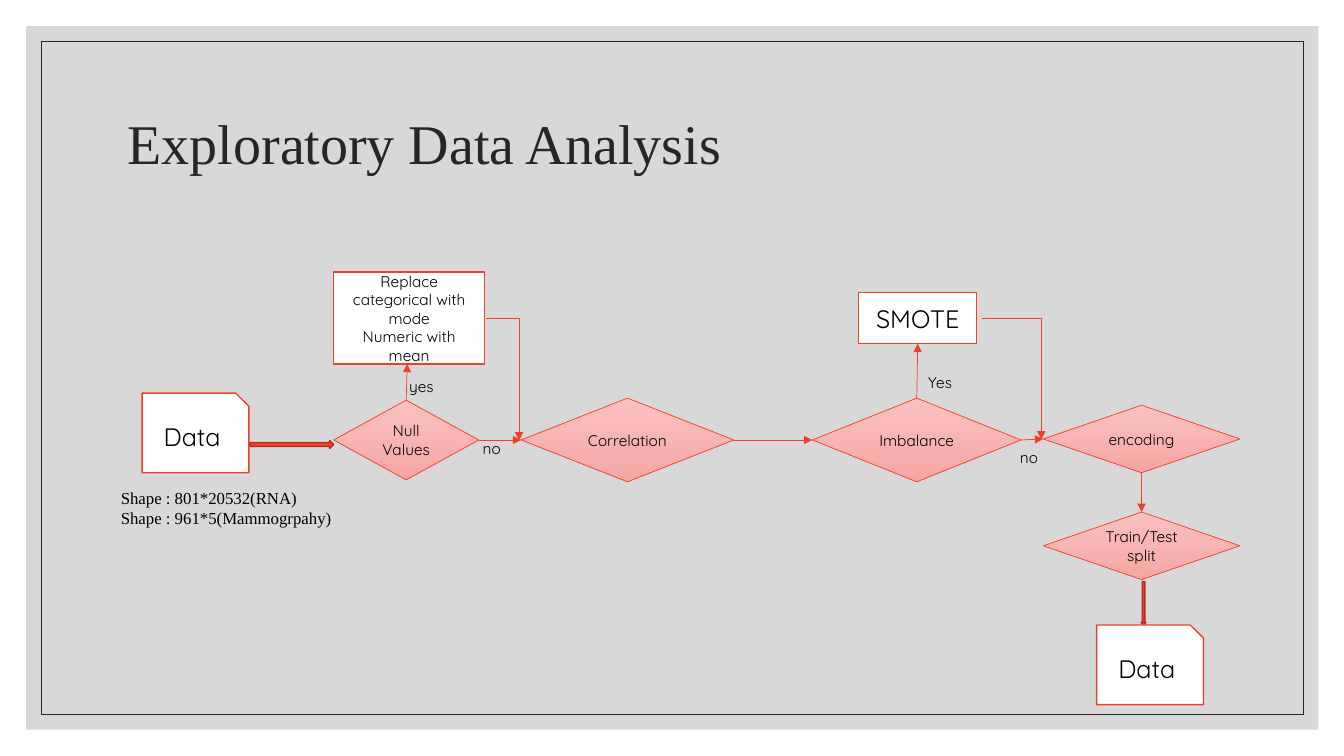
import dataclasses

import pptx
import pptx.dml.color
import pptx.enum.shapes
import pptx.enum.text
import pptx.oxml
import pptx.oxml.ns
import pptx.util

KIND = pptx.enum.shapes.MSO_SHAPE
LINK = pptx.enum.shapes.MSO_CONNECTOR
ALIGN = pptx.enum.text.PP_ALIGN
ANCHOR = pptx.enum.text.MSO_ANCHOR
TOP, LEFT, BOTTOM, RIGHT = range(4)


@dataclasses.dataclass(frozen=True)
class Theme:
    """Colours, fonts, type sizes and line widths."""
    ink: str = "000000"
    dark: str = "262626"
    panel: str = "BFBFBF"
    paper: str = "FFFFFF"
    red: str = "F03F2B"
    edge: str = "B22F20"
    light: str = "FAC1BF"
    rose: str = "F5A7A4"
    serif: str = "Times New Roman"
    sans: str = "Quicksand"
    head: int = 40
    big: int = 18
    note: int = 12
    small: int = 11
    thin: float = 0.5
    thick: float = 1


THEME = Theme()


def cells(*counts):
    """Turn counts of tenth-inch grid cells into lengths."""
    return [pptx.util.Inches(count / 10) for count in counts]


def color(code):
    """Return the colour for a hex code."""
    return pptx.dml.color.RGBColor.from_string(code)


def child(parent, tag, **attrs):
    """Append a drawing element with attributes."""
    node = pptx.oxml.parse_xml(f"<a:{tag} {pptx.oxml.ns.nsdecls('a')}/>")
    for name, value in attrs.items():
        node.set(name, value)
    parent.append(node)


def write(frame, text, size, font, ink=THEME.ink, align=ALIGN.LEFT, anchor=ANCHOR.TOP):
    """Write lines of text in one style."""
    frame.word_wrap = True
    frame.vertical_anchor = anchor
    frame.text = text
    for para in frame.paragraphs:
        para.alignment = align
        para.font.size = pptx.util.Pt(size)
        para.font.name = font
        para.font.color.rgb = color(ink)


def shape(slide, kind, at, fill=None, line=None, width=THEME.thick):
    """Add a flat preset shape."""
    item = slide.shapes.add_shape(kind, *cells(*at))
    item.shadow.inherit = False
    if fill:
        item.fill.solid()
        item.fill.fore_color.rgb = color(fill)
    else:
        item.fill.background()
    if line:
        item.line.color.rgb = color(line)
        item.line.width = pptx.util.Pt(width)
    else:
        item.line.fill.background()
    return item


def box(slide, kind, at, text, size=THEME.big):
    """Add a white box with centred text."""
    item = shape(slide, kind, at, THEME.paper, THEME.red)
    write(item.text_frame, text, size, THEME.sans, align=ALIGN.CENTER, anchor=ANCHOR.MIDDLE)
    return item


def step(slide, at, text):
    """Add a shaded diamond with centred text."""
    item = shape(slide, KIND.DIAMOND, at, line=THEME.red, width=THEME.thin)
    item.fill.gradient()
    item.fill.gradient_angle = 270
    for stop, code in zip(item.fill.gradient_stops, (THEME.light, THEME.rose)):
        stop.color.rgb = color(code)
    write(item.text_frame, text, THEME.small, THEME.sans, align=ALIGN.CENTER, anchor=ANCHOR.MIDDLE)
    return item


def label(slide, at, text, size=THEME.small, font=THEME.sans):
    """Add a text box that grows with its text."""
    frame = slide.shapes.add_textbox(*cells(*at)).text_frame
    write(frame, text, size, font)
    frame.auto_size = pptx.enum.text.MSO_AUTO_SIZE.SHAPE_TO_FIT_TEXT


def arrow(slide, start=(0, 0), end=(0, 0), tail=None, tip=None, kind=LINK.STRAIGHT):
    """Add a thin arrow between points or joined sides."""
    item = slide.shapes.add_connector(kind, *cells(*start, *end))
    if tail:
        item.begin_connect(*tail)
    if tip:
        item.end_connect(*tip)
    item.line.color.rgb = color(THEME.red)
    item.line.width = pptx.util.Pt(THEME.thin)
    child(item.line._get_or_add_ln(), "tailEnd", type="triangle")
    props = item._element.spPr
    child(props, "effectLst")
    if kind == LINK.ELBOW:
        props.find(pptx.oxml.ns.qn("a:prstGeom")).set("prst", "bentConnector2")


def frame(slide):
    """Add the grey panel, its border and the title."""
    panel = shape(slide, KIND.RECTANGLE, (2.6, 2.6, 128.2, 69.8), THEME.panel)
    tint = panel._element.spPr.find(".//" + pptx.oxml.ns.qn("a:srgbClr"))
    child(tint, "alpha", val="60000")
    shape(slide, KIND.RECTANGLE, (4.1, 4.1, 125.2, 66.8), line=THEME.dark, width=THEME.thin)
    title = slide.shapes.add_textbox(*cells(11.7, 7, 110, 15)).text_frame
    write(title, "Exploratory Data Analysis", THEME.head, THEME.serif, THEME.dark, anchor=ANCHOR.MIDDLE)
    title.paragraphs[0].line_spacing = 0.9


def flow(slide):
    """Add the boxes, diamonds and arrows of the flow."""
    shape(slide, KIND.RIGHT_ARROW, (24.8, 43.7, 8.3, 0.8), THEME.red, THEME.edge)
    down = shape(slide, KIND.RIGHT_ARROW, (111.3, 59.6, 4.3, 0.5), THEME.red, THEME.edge)
    down.rotation = 90
    for at in ((14.1, 39), (108.8, 62)):
        box(slide, KIND.SNIP_1_RECTANGLE, (*at, 10.6, 7.9), "Data")
    box(slide, KIND.RECTANGLE, (33.1, 27, 15, 9.1),
        "Replace categorical with mode\nNumeric with mean", THEME.small)
    smote = box(slide, KIND.RECTANGLE, (85.2, 29, 11.7, 5.1), "SMOTE")

    nulls = step(slide, (33.1, 39.7, 14.4, 7.9), "Null Values")
    corr = step(slide, (51.7, 39.5, 21.1, 8.3), "Correlation")
    skew = step(slide, (80.6, 39.5, 20.7, 8.3), "Imbalance")
    code = step(slide, (103.5, 40.2, 19.5, 6.7), "encoding")
    split = step(slide, (103.5, 50.8, 19.5, 6.7), "Train/Test\nsplit")

    arrow(slide, end=(40.4, 36.1), tail=(nulls, TOP))
    for first, side, last, goal in (
        (nulls, RIGHT, corr, LEFT),
        (corr, RIGHT, skew, LEFT),
        (skew, TOP, smote, BOTTOM),
        (skew, RIGHT, code, LEFT),
        (code, BOTTOM, split, TOP),
    ):
        arrow(slide, tail=(first, side), tip=(last, goal))
    arrow(slide, (48.2, 31.6), (51.5, 43.7), kind=LINK.ELBOW)
    arrow(slide, (97.4, 31.6), (103.3, 43.6), kind=LINK.ELBOW)


def notes(slide):
    """Add the branch labels and the data sizes."""
    for left, top, text in (
        (39.6, 36.9, "yes"), (46.9, 43.1, "no"), (91.1, 36.5, "Yes"), (100.2, 44, "no"),
    ):
        label(slide, (left, top, 5.5, 2.9), text)
    label(slide, (11, 47.9, 23.4, 5),
          "Shape : 801*20532(RNA)\nShape : 961*5(Mammogrpahy)", THEME.note, THEME.serif)


def main():
    """Build and save the slide."""
    deck = pptx.Presentation()
    deck.slide_width, deck.slide_height = cells(133.33, 75)
    slide = deck.slides.add_slide(deck.slide_layouts[6])
    frame(slide)
    flow(slide)
    notes(slide)
    deck.save("out.pptx")


if __name__ == "__main__":
    main()
